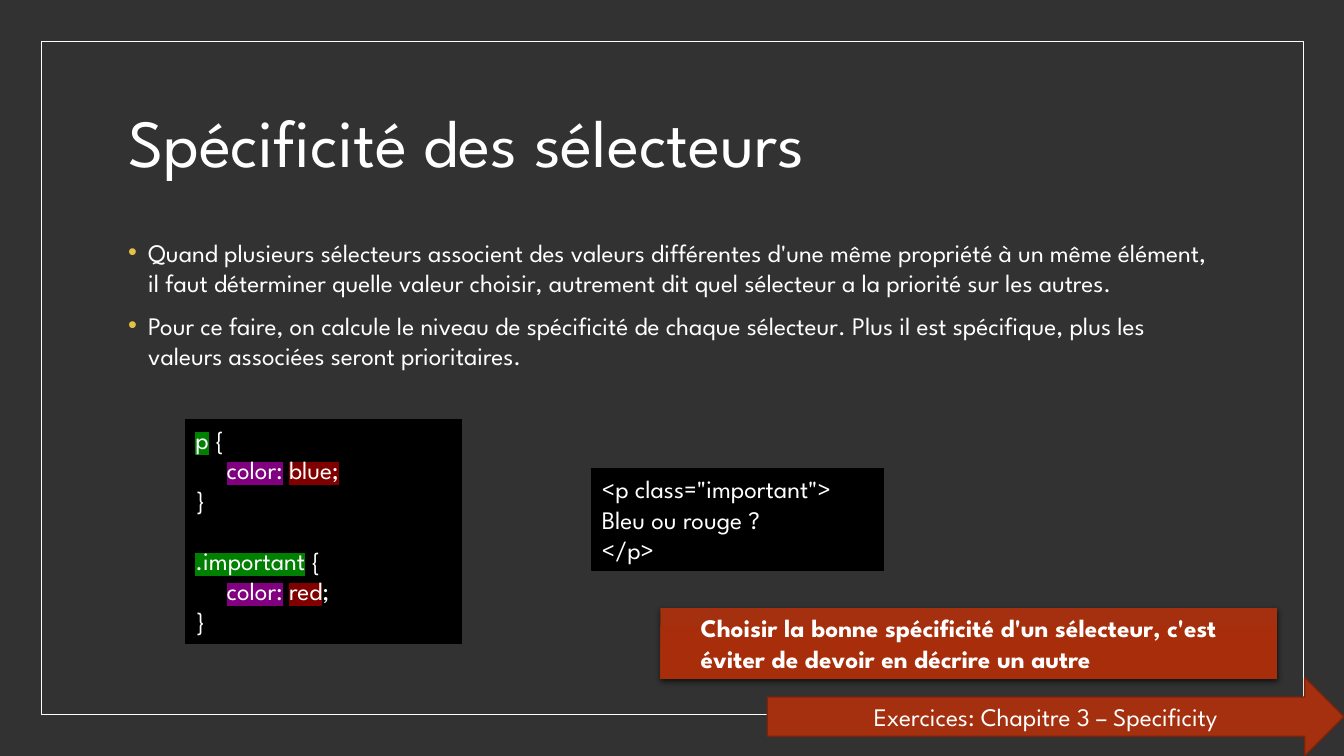
from copy import deepcopy

from pptx import Presentation
from pptx.dml.color import RGBColor
from pptx.enum.shapes import MSO_SHAPE
from pptx.enum.text import MSO_ANCHOR, MSO_AUTO_SIZE, PP_ALIGN
from pptx.oxml import parse_xml
from pptx.oxml.ns import nsdecls, qn
from pptx.util import Inches, Pt

RECT, ARROW = MSO_SHAPE.RECTANGLE, MSO_SHAPE.RIGHT_ARROW
TOP, MIDDLE = MSO_ANCHOR.TOP, MSO_ANCHOR.MIDDLE
LEFT, CENTER = PP_ALIGN.LEFT, PP_ALIGN.CENTER
FIXED = MSO_AUTO_SIZE.NONE

FONT = "League Spartan"
COLORS = {
    "background": "323232",
    "text": "FFFFFF",
    "bullet": "E5C243",
    "code": "000000",
    "selector": "008000",
    "property": "800080",
    "value": "800000",
    "arrow": "A5300F",
    "arrow_line": "7A240B",
    "callout_middle": "A82E0B",
    "callout_bottom": "A72D0B",
}

EXPLANATION = [
    "Quand plusieurs sélecteurs associent des valeurs différentes d'une même propriété "
    "à un même élément, il faut déterminer quelle valeur choisir, autrement dit quel "
    "sélecteur a la priorité sur les autres.",
    "Pour ce faire, on calcule le niveau de spécificité de chaque sélecteur. Plus il est "
    "spécifique, plus les valeurs associées seront prioritaires.",
]
HTML_LINES = ['<p class="important">', "Bleu ou rouge ?", "</p>"]


def rgb(name):
    return RGBColor.from_string(COLORS[name])


def write(paragraph, text, size=18, bold=False, highlight=None):
    run = paragraph.add_run()
    run.text = text
    run.font.name = FONT
    run.font.size = Pt(size)
    run.font.bold = bold
    run.font.color.rgb = rgb("text")
    if highlight:
        mark = parse_xml(
            f'<a:highlight {nsdecls("a")}><a:srgbClr val="{COLORS[highlight]}"/></a:highlight>'
        )
        run.font._element.find(qn("a:solidFill")).addnext(mark)


def paragraphs(frame, count):
    """Return the first paragraph of a text frame and as many new ones as needed."""
    return [frame.paragraphs[0]] + [frame.add_paragraph() for _ in range(count - 1)]


def place(shape, left, top, width, height):
    shape.left, shape.top = Inches(left), Inches(top)
    shape.width, shape.height = Inches(width), Inches(height)


def add_panel(slide, kind, box, fill=None, line=None, line_width=1, anchor=TOP):
    panel = slide.shapes.add_shape(kind, *map(Inches, box))
    panel.shadow.inherit = False
    if fill:
        panel.fill.solid()
        panel.fill.fore_color.rgb = rgb(fill)
    else:
        panel.fill.background()
    if line:
        panel.line.color.rgb = rgb(line)
        panel.line.width = Pt(line_width)
    else:
        panel.line.fill.background()
    panel.text_frame.word_wrap = True
    panel.text_frame.vertical_anchor = anchor
    return panel


def set_hanging(paragraph, margin, indent):
    properties = paragraph._p.get_or_add_pPr()
    properties.set("marL", str(Inches(margin)))
    properties.set("indent", str(Inches(indent)))
    return properties


def fill_title(title):
    place(title, 1.17, 0.7, 11, 1.5)
    title.text_frame.auto_size = FIXED
    title.text_frame.vertical_anchor = MIDDLE
    heading = title.text_frame.paragraphs[0]
    heading.alignment = LEFT
    heading.line_spacing = 0.9
    write(heading, "Spécificité des sélecteurs", size=48)


def fill_explanation(body):
    place(body, 1.17, 2.3, 11, 4.3)
    body.text_frame.auto_size = FIXED
    points = paragraphs(body.text_frame, len(EXPLANATION))
    for index, (point, text) in enumerate(zip(points, EXPLANATION)):
        point.space_before = Pt(9 if index else 0)
        properties = set_hanging(point, 0.2, -0.2)
        properties.append(parse_xml(
            f'<a:buClr {nsdecls("a")}><a:srgbClr val="{COLORS["bullet"]}"/></a:buClr>'
        ))
        properties.append(parse_xml(f'<a:buChar {nsdecls("a")} char="•"/>'))
        write(point, text)


def css_rule(selector, *value):
    """Return the lines of a one-property rule as (text, highlight) pieces."""
    return [
        [(selector, "selector"), (" {", None)],
        [("     ", None), ("color:", "property"), (" ", None), *value],
        [("}", None)],
    ]


def add_code(slide, box, lines, gap_before=None):
    """Draw a code panel, with one line of space above the line at gap_before."""
    panel = add_panel(slide, RECT, box, fill="code", line="code")
    for index, (line, pieces) in enumerate(zip(paragraphs(panel.text_frame, len(lines)), lines)):
        line.alignment = LEFT
        if index == gap_before:
            line.space_before = Pt(21.6)
        for text, highlight in pieces:
            write(line, text, highlight=highlight)


def add_exercise_arrow(slide):
    arrow = add_panel(slide, ARROW, (7.61, 6.72, 5.72, 0.78), fill="arrow",
                      line="arrow_line", anchor=MIDDLE)
    label = arrow.text_frame.paragraphs[0]
    label.alignment = CENTER
    write(label, "Exercices: Chapitre 3 – Specificity")


def add_callout(slide):
    callout = add_panel(slide, RECT, (6.55, 6.03, 6.12, 0.71))
    callout.fill.gradient()
    callout.fill.gradient_angle = 270
    first = callout._element.spPr.find(".//" + qn("a:gs"))
    first.addnext(deepcopy(first))
    shades = ("arrow", "callout_middle", "callout_bottom")
    for index, (stop, shade) in enumerate(zip(callout.fill.gradient_stops, shades)):
        stop.position = index / 2
        stop.color.rgb = rgb(shade)
    callout._element.spPr.find(qn("a:effectLst")).append(parse_xml(
        f'<a:outerShdw {nsdecls("a")} blurRad="{Pt(4.5)}" dist="{Pt(1.5)}" dir="5400000" '
        'algn="ctr" rotWithShape="0"><a:srgbClr val="000000"><a:alpha val="63000"/>'
        '</a:srgbClr></a:outerShdw>'
    ))
    advice = callout.text_frame.paragraphs[0]
    advice.level = 1
    advice.alignment = LEFT
    set_hanging(advice, 0.3, 0)
    write(advice, "Choisir la bonne spécificité d'un sélecteur, c'est éviter de devoir "
                  "en décrire un autre", bold=True)


def main():
    deck = Presentation()
    deck.slide_width, deck.slide_height = Inches(13.33), Inches(7.5)
    slide = deck.slides.add_slide(deck.slide_layouts[1])
    slide.background.fill.solid()
    slide.background.fill.fore_color.rgb = rgb("background")

    add_panel(slide, RECT, (0.41, 0.41, 12.52, 6.68), line="text", line_width=0.5)
    fill_title(slide.shapes.title)
    fill_explanation(slide.placeholders[1])
    css_lines = (css_rule("p", ("blue;", "value"))
                 + css_rule(".important", ("red", "value"), (";", None)))
    add_code(slide, (1.84, 4.16, 2.74, 2.22), css_lines, gap_before=3)
    add_exercise_arrow(slide)
    add_code(slide, (5.87, 4.65, 2.89, 1.01), [[(line, None)] for line in HTML_LINES])
    add_callout(slide)
    deck.save("out.pptx")


if __name__ == "__main__":
    main()
